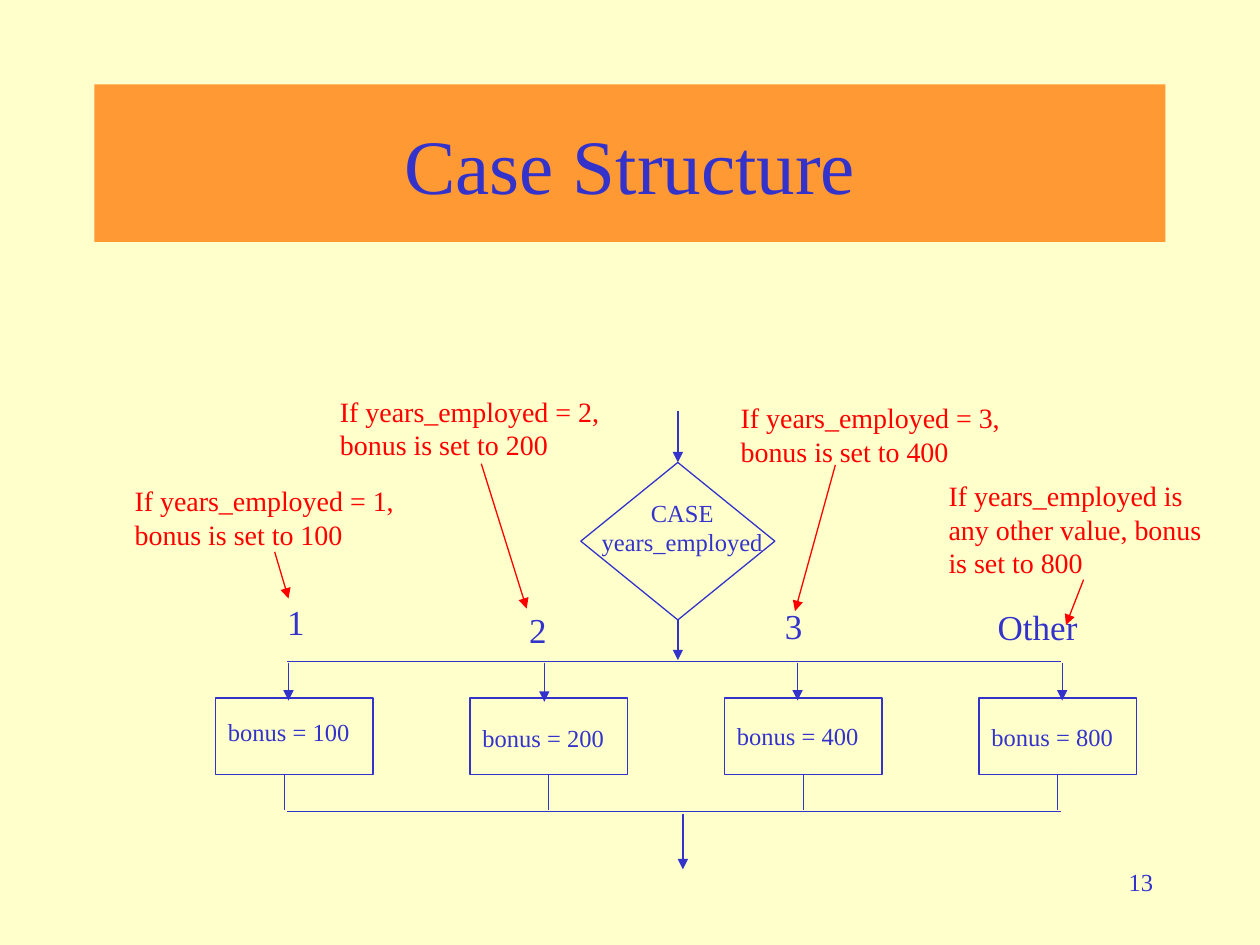
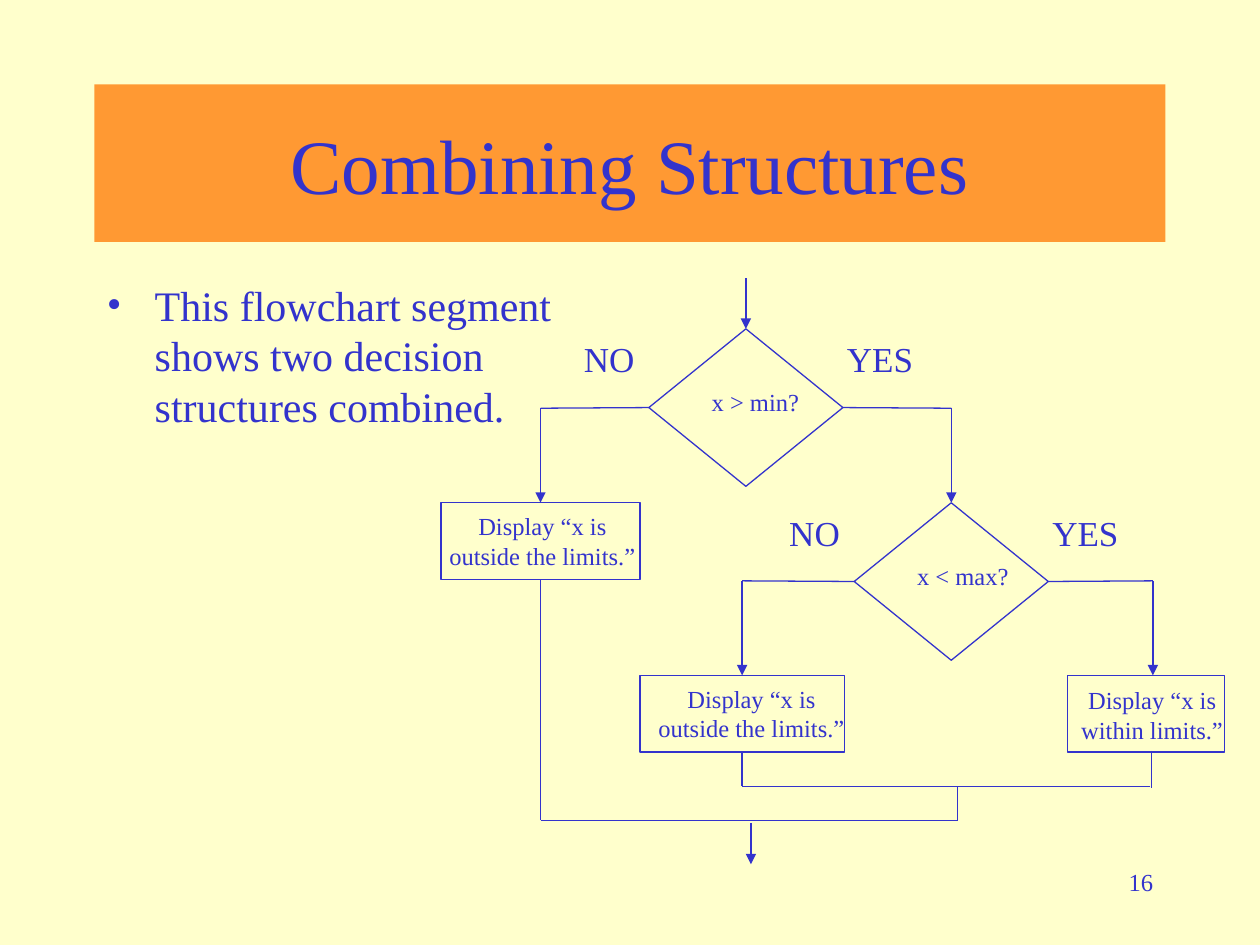
"""Builds two flowchart slides: a case structure and combined decisions."""
from lxml.etree import SubElement
from pptx import Presentation
from pptx.dml.color import RGBColor
from pptx.enum.shapes import MSO_CONNECTOR, MSO_SHAPE
from pptx.enum.text import MSO_ANCHOR, PP_ALIGN
from pptx.oxml.ns import qn
from pptx.util import Inches, Pt

COLORS = {"background": "FFFFCC", "band": "FF9933", "ink": "3333CC", "note": "FF0000"}
FONT = "Times New Roman"
TOP, LEFT, BOTTOM, RIGHT = range(4)
DIAMOND_SIZE = (1.54, 1.25)
BOX_HEIGHT = 0.61

BOX_LEFT, BOX_STEP, BOX_TOP, BOX_WIDTH = 1.71, 2.02, 5.54, 1.25
SPLIT_Y, MERGE_Y = 5.25, 6.44
CASES = [
    {"label": "1", "label_at": (2.18, 4.72), "action": "bonus = 100", "action_top": 5.64,
     "entry": (2.29, 5.56), "exit": (2.26, 6.14),
     "note": "If years_employed = 1, bonus is set to 100", "note_at": (0.97, 3.79),
     "pointer": ((2.18, 4.38), (2.29, 4.75))},
    {"label": "2", "label_at": (4.1, 4.78), "action": "bonus = 200", "action_top": 5.69,
     "entry": (4.32, 5.57), "exit": ("case 2", BOTTOM),
     "note": "If years_employed = 2, bonus is set to 200", "note_at": (2.6, 3.08),
     "pointer": ((3.82, 3.68), (4.18, 4.83))},
    {"label": "3", "label_at": (6.13, 4.75), "action": "bonus = 400", "action_top": 5.67,
     "entry": (6.33, 5.56), "exit": ("case 3", BOTTOM),
     "note": "If years_employed = 3, bonus is set to 400", "note_at": (5.78, 3.13),
     "pointer": ((6.63, 3.69), (6.31, 4.85))},
    {"label": "Other", "label_at": (7.82, 4.76), "action": "bonus = 800", "action_top": 5.68,
     "entry": (8.43, 5.56), "exit": ("case Other", BOTTOM),
     "note": "If years_employed is any other value, bonus is set to 800", "note_at": (7.43, 3.75),
     "pointer": ((8.6, 4.6), (8.46, 4.96))},
]

BULLET = "This flowchart segment\nshows two decision\nstructures combined."
DECISIONS = [
    ("min", "x > min?", (5.15, 2.61)),
    ("max", "x < max?", (6.78, 3.99)),
]
DISPLAYS = [
    ("below", "Display “x is outside the limits.”", (3.5, 3.99, 1.58), (3.4, 4.01, 1.81)),
    ("above", "Display “x is outside the limits.”", (5.08, 5.36, 1.62), (5.06, 5.38, 1.81)),
    ("within", "Display “x is within limits.”", (8.47, 5.36, 1.25), (8.46, 5.39, 1.37)),
]
COMBINED_ARROWS = [
    ((5.92, 2.21), ("min", TOP)),
    ((4.29, 3.24), ("below", TOP)),
    ((7.55, 3.24), ("max", TOP)),
    ((5.89, 4.61), ("above", TOP)),
    ((9.15, 4.61), (9.15, 5.36)),
    ((5.96, 6.53), (5.96, 6.86)),
]
COMBINED_LINES = [
    (("min", LEFT), (4.29, 3.24)),
    (("min", RIGHT), (7.55, 3.24)),
    (("max", LEFT), (5.89, 4.61)),
    (("max", RIGHT), (9.15, 4.61)),
    (("below", BOTTOM), (4.29, 6.51)),
    (("above", BOTTOM), (5.89, 6.24)),
    ((9.14, 5.96), (9.14, 6.25)),
    ((9.13, 6.24), (5.89, 6.24)),
    ((7.6, 6.24), (7.6, 6.51)),
    ((4.29, 6.51), (7.6, 6.51)),
]


def color(name):
    return RGBColor.from_string(COLORS[name])


def write(shape, text, size, ink="ink", align=PP_ALIGN.LEFT):
    frame = shape.text_frame
    frame.word_wrap = True
    paragraph = frame.paragraphs[0]
    paragraph.alignment = align
    for index, line in enumerate(text.split("\n")):
        if index:
            paragraph.add_line_break()
        run = paragraph.add_run()
        run.text = line
        run.font.name = FONT
        run.font.size = Pt(size)
        run.font.color.rgb = color(ink)
    return paragraph


def add_text(slide, text, box, size, ink="ink", align=PP_ALIGN.LEFT):
    shape = slide.shapes.add_textbox(*map(Inches, box))
    return write(shape, text, size, ink, align)


def add_node(slide, kind, box):
    shape = slide.shapes.add_shape(kind, *map(Inches, box))
    shape.shadow.inherit = False
    shape.fill.background()
    shape.line.color.rgb = color("ink")
    shape.line.width = Pt(0.75)
    return shape


def add_line(slide, nodes, start, end, arrow=False, ink="ink"):
    ends = [(0, 0) if point[0] in nodes else point for point in (start, end)]
    line = slide.shapes.add_connector(
        MSO_CONNECTOR.STRAIGHT, *(Inches(value) for point in ends for value in point))
    if start[0] in nodes:
        line.begin_connect(nodes[start[0]], start[1])
    if end[0] in nodes:
        line.end_connect(nodes[end[0]], end[1])
    line.line.color.rgb = color(ink)
    line.line.width = Pt(0.75)
    if arrow:
        SubElement(line.line._get_or_add_ln(), qn("a:tailEnd"), type="triangle")
    SubElement(line._element.spPr, qn("a:effectLst"))


def add_slide(presentation, title, number):
    slide = presentation.slides.add_slide(presentation.slide_layouts[6])
    slide.background.fill.solid()
    slide.background.fill.fore_color.rgb = color("background")
    band = add_node(slide, MSO_SHAPE.RECTANGLE, (0.75, 0.67, 8.5, 1.25))
    band.fill.solid()
    band.fill.fore_color.rgb = color("band")
    band.line.fill.background()
    band.text_frame.vertical_anchor = MSO_ANCHOR.MIDDLE
    write(band, title, 44, align=PP_ALIGN.CENTER)
    add_text(slide, number, (7.17, 6.83, 2.08, 0.5), 14, align=PP_ALIGN.RIGHT)
    return slide


def build_case_slide(presentation):
    slide = add_slide(presentation, "Case Structure", "13")
    nodes = {"case": add_node(slide, MSO_SHAPE.FLOWCHART_DECISION, (4.61, 3.67, *DIAMOND_SIZE))}
    add_text(slide, "CASE\nyears_employed", (4.4, 3.9, 2.03, 0.57), 14, align=PP_ALIGN.CENTER)
    add_line(slide, nodes, (5.38, 3.26), ("case", TOP), arrow=True)
    add_line(slide, nodes, ("case", BOTTOM), (5.38, 5.24), arrow=True)
    for y in (SPLIT_Y, MERGE_Y):
        add_line(slide, nodes, (2.28, y), (8.42, y))
    add_line(slide, nodes, (5.42, 6.46), (5.42, 6.9), arrow=True)

    for index, case in enumerate(CASES):
        left = BOX_LEFT + index * BOX_STEP
        name = f"case {case['label']}"
        nodes[name] = add_node(slide, MSO_SHAPE.RECTANGLE, (left, BOX_TOP, BOX_WIDTH, BOX_HEIGHT))
        add_text(slide, case["action"], (left, case["action_top"], BOX_WIDTH, 0.34), 14)
        add_text(slide, case["label"], (*case["label_at"], 1.04 if len(case["label"]) > 1 else 0.35, 0.44), 20)
        add_text(slide, case["note"], (*case["note_at"], 2.33, 0.64), 16, "note")
        add_line(slide, nodes, (case["entry"][0], SPLIT_Y + 0.01), case["entry"], arrow=True)
        exit_x = left + BOX_WIDTH / 2 if case["exit"][0] in nodes else case["exit"][0]
        add_line(slide, nodes, case["exit"], (exit_x, MERGE_Y - 0.01))
        add_line(slide, nodes, *case["pointer"], arrow=True, ink="note")


def build_combined_slide(presentation):
    slide = add_slide(presentation, "Combining Structures", "16")
    paragraph = add_text(slide, BULLET, (0.75, 2.17, 8.5, 4.5), 24)
    properties = paragraph._p.get_or_add_pPr()
    properties.set("marL", str(Inches(0.38)))
    properties.set("indent", str(-Inches(0.38)))
    SubElement(properties, qn("a:buFont"), typeface=FONT)
    SubElement(properties, qn("a:buChar"), char="•")

    nodes = {}
    for name, question, (left, top) in DECISIONS:
        nodes[name] = add_node(slide, MSO_SHAPE.FLOWCHART_DECISION, (left, top, *DIAMOND_SIZE))
        add_text(slide, question, (left + 0.4, top + 0.41, 0.94, 0.34), 14)
        for answer, offset in (("NO", -0.73), ("YES", 1.42)):
            add_text(slide, answer, (left + offset, top + 0.02, 0.83, 0.44), 20, align=PP_ALIGN.CENTER)
    for name, message, box, text_box in DISPLAYS:
        nodes[name] = add_node(slide, MSO_SHAPE.RECTANGLE, (*box, BOX_HEIGHT))
        add_text(slide, message, (*text_box, 0.57), 14, align=PP_ALIGN.CENTER)
    for start, end in COMBINED_ARROWS:
        add_line(slide, nodes, start, end, arrow=True)
    for start, end in COMBINED_LINES:
        add_line(slide, nodes, start, end)


def main():
    presentation = Presentation()
    presentation.slide_width = Inches(10)
    presentation.slide_height = Inches(7.5)
    build_case_slide(presentation)
    build_combined_slide(presentation)
    presentation.save("out.pptx")


if __name__ == "__main__":
    main()
